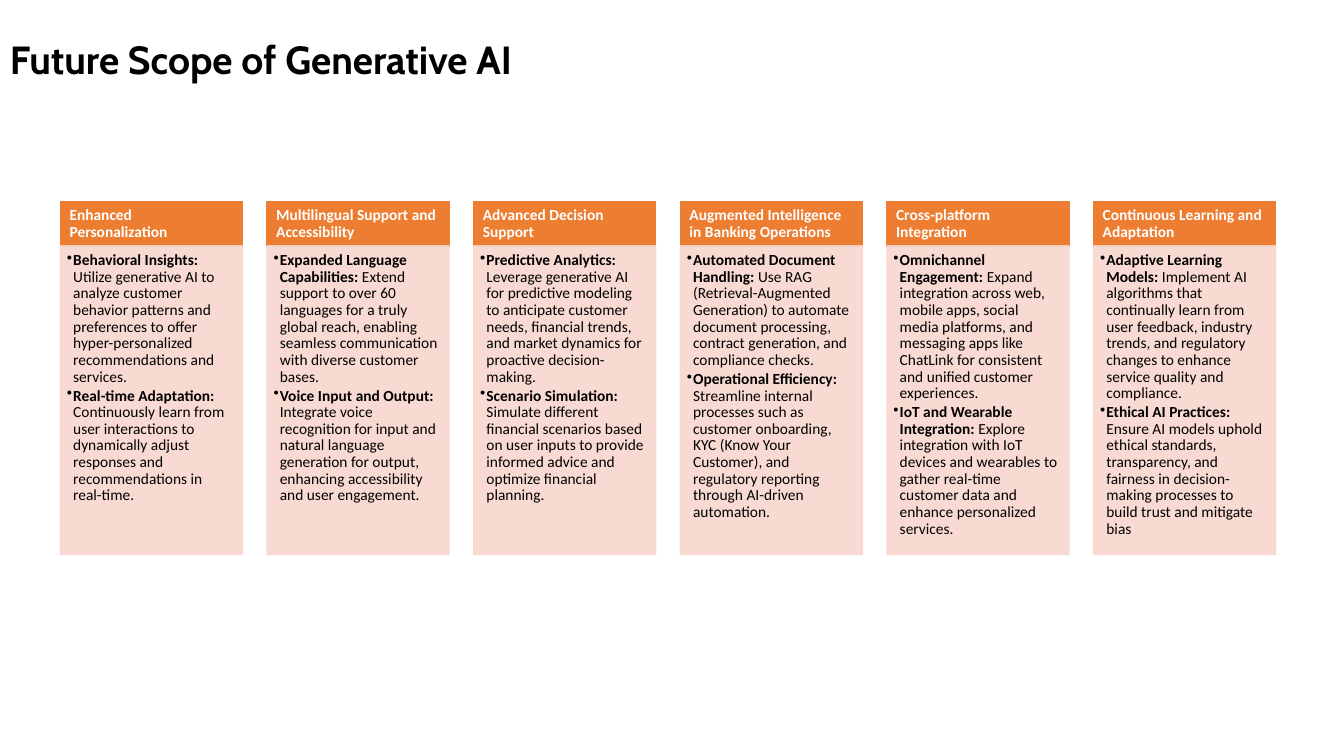
"""Build the slide on the future scope of generative AI."""
from lxml.etree import SubElement
from pptx import Presentation
from pptx.dml.color import RGBColor
from pptx.enum.shapes import MSO_SHAPE
from pptx.enum.text import MSO_ANCHOR as Anchor, PP_ALIGN as Align
from pptx.oxml.ns import qn
from pptx.util import Pt

TITLE = "Future Scope of Generative AI"
COLUMNS = [
    ("Enhanced Personalization", [
        ("Behavioral Insights:", " Utilize generative AI to analyze customer behavior patterns and "
         "preferences to offer hyper-personalized recommendations and services."),
        ("Real-time Adaptation:", " Continuously learn from user interactions to dynamically adjust "
         "responses and recommendations in real-time."),
    ]),
    ("Multilingual Support and Accessibility", [
        ("Expanded Language Capabilities:", " Extend support to over 60 languages for a truly global "
         "reach, enabling seamless communication with diverse customer bases."),
        ("Voice Input and Output:", " Integrate voice recognition for input and natural language "
         "generation for output, enhancing accessibility and user engagement."),
    ]),
    ("Advanced Decision Support", [
        ("Predictive Analytics:", " Leverage generative AI for predictive modeling to anticipate "
         "customer needs, financial trends, and market dynamics for proactive decision-making."),
        ("Scenario Simulation:", " Simulate different financial scenarios based on user inputs to "
         "provide informed advice and optimize financial planning."),
    ]),
    ("Augmented Intelligence in Banking Operations", [
        ("Automated Document Handling:", " Use RAG (Retrieval-Augmented Generation) to automate "
         "document processing, contract generation, and compliance checks."),
        ("Operational Efficiency:", " Streamline internal processes such as customer onboarding, KYC "
         "(Know Your Customer), and regulatory reporting through AI-driven automation."),
    ]),
    ("Cross-platform Integration", [
        ("Omnichannel Engagement:", " Expand integration across web, mobile apps, social media "
         "platforms, and messaging apps like ChatLink for consistent and unified customer experiences."),
        ("IoT and Wearable Integration:", " Explore integration with IoT devices and wearables to "
         "gather real-time customer data and enhance personalized services."),
    ]),
    ("Continuous Learning and Adaptation", [
        ("Adaptive Learning Models:", " Implement AI algorithms that continually learn from user "
         "feedback, industry trends, and regulatory changes to enhance service quality and compliance."),
        ("Ethical AI Practices:", " Ensure AI models uphold ethical standards, transparency, and "
         "fairness in decision-making processes to build trust and mitigate bias"),
    ]),
]
ORANGE, PINK, WHITE, BLACK = "ED7D31", "F8D7CE", "FFFFFF", "000000"
LEFT, STEP, WIDTH = 43.2, 147.6, 130
HEADER_TOP, HEADER_HEIGHT, BODY_HEIGHT = 144, 31.7, 220.3


def paint(color_format, color):
    color_format.rgb = RGBColor.from_string(color)


def add_run(paragraph, text, size, font_name, color, bold):
    run = paragraph.add_run()
    run.text = text
    run.font.size, run.font.name, run.font.bold = Pt(size), font_name, bold
    paint(run.font.color, color)


def set_frame(shape, insets, anchor):
    frame = shape.text_frame
    frame.word_wrap, frame.vertical_anchor = True, anchor
    frame.margin_left, frame.margin_top, frame.margin_right, frame.margin_bottom = map(Pt, insets)
    return frame


def add_panel(slide, left, top, height, color, alpha=None):
    shape = slide.shapes.add_shape(MSO_SHAPE.RECTANGLE, Pt(left), Pt(top), Pt(WIDTH), Pt(height))
    shape.shadow.inherit = False
    shape.fill.solid()
    paint(shape.fill.fore_color, color)
    shape.line.width = Pt(1)
    paint(shape.line.color, color)
    if alpha:
        for tone in shape.element.spPr.iter(qn("a:srgbClr")):
            SubElement(tone, qn("a:alpha"), val=str(alpha * 1000))
    return shape


def format_paragraph(paragraph, space_after):
    paragraph.alignment = Align.LEFT
    paragraph.line_spacing, paragraph.space_after = 0.9, Pt(space_after)


def add_column(slide, left, heading, points):
    header = add_panel(slide, left, HEADER_TOP, HEADER_HEIGHT, ORANGE)
    paragraph = set_frame(header, (6.5, 3.6, 6.5, 3.6), Anchor.MIDDLE).paragraphs[0]
    format_paragraph(paragraph, 3.85)
    add_run(paragraph, heading, 11, "Calibri", WHITE, True)

    body = add_panel(slide, left, HEADER_TOP + HEADER_HEIGHT, BODY_HEIGHT, PINK, 90)
    frame = set_frame(body, (4.6, 4.6, 6.2, 7), Anchor.TOP)
    for index, (label, detail) in enumerate(points):
        paragraph = frame.add_paragraph() if index else frame.paragraphs[0]
        properties = paragraph._p.get_or_add_pPr()
        properties.set("marL", str(Pt(4.5)))
        properties.set("indent", str(Pt(-4.5)))
        SubElement(properties, qn("a:buChar"), char="•")
        format_paragraph(paragraph, 1.65)
        add_run(paragraph, label, 11, "Calibri", BLACK, True)
        add_run(paragraph, detail, 11, "Calibri", BLACK, False)


def main():
    presentation = Presentation()
    presentation.slide_width, presentation.slide_height = Pt(960), Pt(540)
    slide = presentation.slides.add_slide(presentation.slide_layouts[6])
    title = slide.shapes.add_textbox(Pt(0), Pt(18), Pt(691), Pt(45))
    frame = set_frame(title, (7.2, 7.2, 7.2, 7.2), Anchor.TOP)
    add_run(frame.paragraphs[0], TITLE, 28, "Cabin", BLACK, True)
    for index, (heading, points) in enumerate(COLUMNS):
        add_column(slide, LEFT + index * STEP, heading, points)
    presentation.save("out.pptx")


if __name__ == "__main__":
    main()
